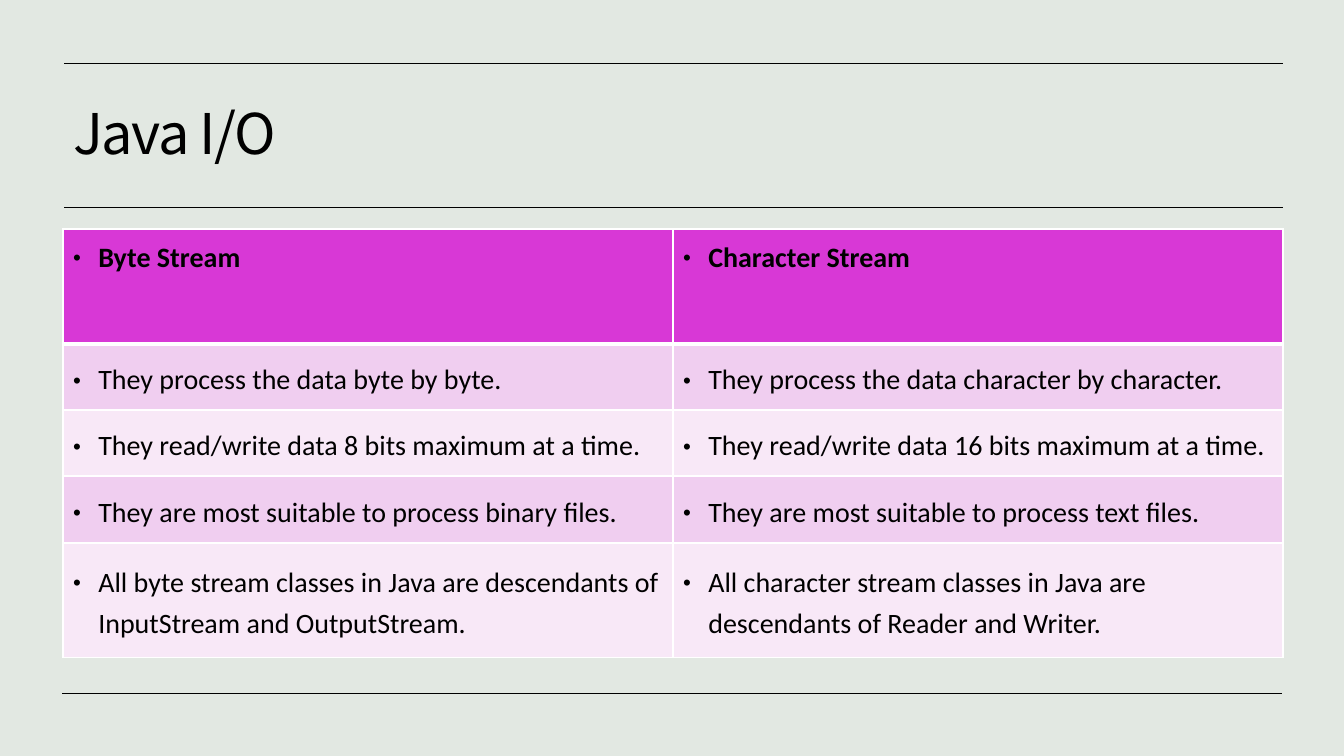
from lxml import etree
from pptx import Presentation
from pptx import util as u
from pptx.dml.color import RGBColor
from pptx.enum import shapes, text
from pptx.oxml.ns import qn

PX = 9144000 / 1008  # EMU in one px
BLACK = RGBColor(0x00, 0x00, 0x00)
BACKGROUND = RGBColor(0xE2, 0xE8, 0xE2)
HEADER = RGBColor(0xD8, 0x38, 0xD6)
BANDS = (RGBColor(0xF0, 0xCE, 0xF0), RGBColor(0xF8, 0xE8, 0xF7))
GRID = RGBColor(0xFF, 0xFF, 0xFF)

ROW_HEIGHTS = (115, 66, 66, 67, 115)
STREAMS = (
    ("Byte Stream", "Character Stream"),
    ("They process the data byte by byte.",
     "They process the data character by character."),
    ("They read/write data 8 bits maximum at a time.",
     "They read/write data 16 bits maximum at a time."),
    ("They are most suitable to process binary files.",
     "They are most suitable to process text files."),
    ("All byte stream classes in Java are descendants of "
     "InputStream and OutputStream.",
     "All character stream classes in Java are descendants of "
     "Reader and Writer."),
)


def px(length):
    return u.Emu(round(length * PX))


def set_font(paragraph, name, size, bold=False):
    font = paragraph.font
    font.name, font.size, font.bold = name, u.Pt(size), bold
    font.color.rgb = BLACK


def add_rule(slide, left, right, y):
    rule = slide.shapes.add_connector(
        shapes.MSO_CONNECTOR.STRAIGHT, px(right), px(y), px(left), px(y))
    rule.line.color.rgb = BLACK
    rule.line.width = u.Pt(0.5)
    etree.SubElement(rule._element.spPr, qn("a:effectLst"))


def set_title(slide, wording):
    title = slide.shapes.title
    title.left, title.top, title.width, title.height = map(px, (63, 76, 1218, 120))
    frame = title.text_frame
    frame.text = wording
    frame.word_wrap = True
    frame.auto_size = text.MSO_AUTO_SIZE.NONE
    frame.vertical_anchor = text.MSO_ANCHOR.MIDDLE
    heading = frame.paragraphs[0]
    heading.alignment = text.PP_ALIGN.LEFT
    heading.line_spacing = 0.9
    set_font(heading, "Noto Sans CJK KR", 40)
    heading._p.pPr.find(qn("a:defRPr")).set("spc", "-100")


def add_bullet(paragraph):
    props = paragraph._p.get_or_add_pPr()
    indent = u.Inches(0.25)
    props.set("marL", str(indent))
    props.set("indent", str(-indent))
    etree.SubElement(props, qn("a:buSzPct"), val="80000")
    etree.SubElement(props, qn("a:buFont"), typeface="Arial")
    etree.SubElement(props, qn("a:buChar"), char="•")


def set_borders(cell, widths):
    props = cell._tc.get_or_add_tcPr()
    for side, width in widths.items():
        border = etree.SubElement(props, qn("a:ln" + side), w=str(u.Pt(width)))
        fill = etree.SubElement(border, qn("a:solidFill"))
        etree.SubElement(fill, qn("a:srgbClr"), val=str(GRID))


def fill_cell(cell, wording, row):
    is_header = row == 0
    # Borders come before the fill in the cell's properties
    set_borders(cell, {"L": 1, "R": 1, "T": 3 if row == 1 else 1,
                       "B": 3 if is_header else 1})
    cell.fill.solid()
    cell.fill.fore_color.rgb = HEADER if is_header else BANDS[(row - 1) % 2]
    cell.vertical_anchor = (text.MSO_ANCHOR.TOP if is_header
                            else text.MSO_ANCHOR.MIDDLE)
    cell.text = wording
    point = cell.text_frame.paragraphs[0]
    point.line_spacing = 1.2
    point.space_before = u.Pt(10)
    add_bullet(point)
    set_font(point, "Calibri", 20, bold=is_header)


def add_comparison(slide):
    frame = slide.shapes.add_table(
        len(STREAMS), 2, px(63), px(229), px(1220), px(sum(ROW_HEIGHTS)))
    comparison = frame.table
    for row, (height, wordings) in enumerate(zip(ROW_HEIGHTS, STREAMS)):
        comparison.rows[row].height = px(height)
        for column, wording in enumerate(wordings):
            fill_cell(comparison.cell(row, column), wording, row)


def main():
    deck = Presentation()
    deck.slide_width, deck.slide_height = px(1344), px(756)
    slide = deck.slides.add_slide(deck.slide_layouts[5])
    slide.background.fill.solid()
    slide.background.fill.fore_color.rgb = BACKGROUND

    # Rules around the title and at the foot
    for left, right, y in ((62, 1282, 693), (64, 1283, 207), (64, 1283, 63)):
        add_rule(slide, left, right, y)

    # Title and comparison of the two kinds of stream
    set_title(slide, "Java I/O")
    add_comparison(slide)
    deck.save("out.pptx")


if __name__ == "__main__":
    main()
